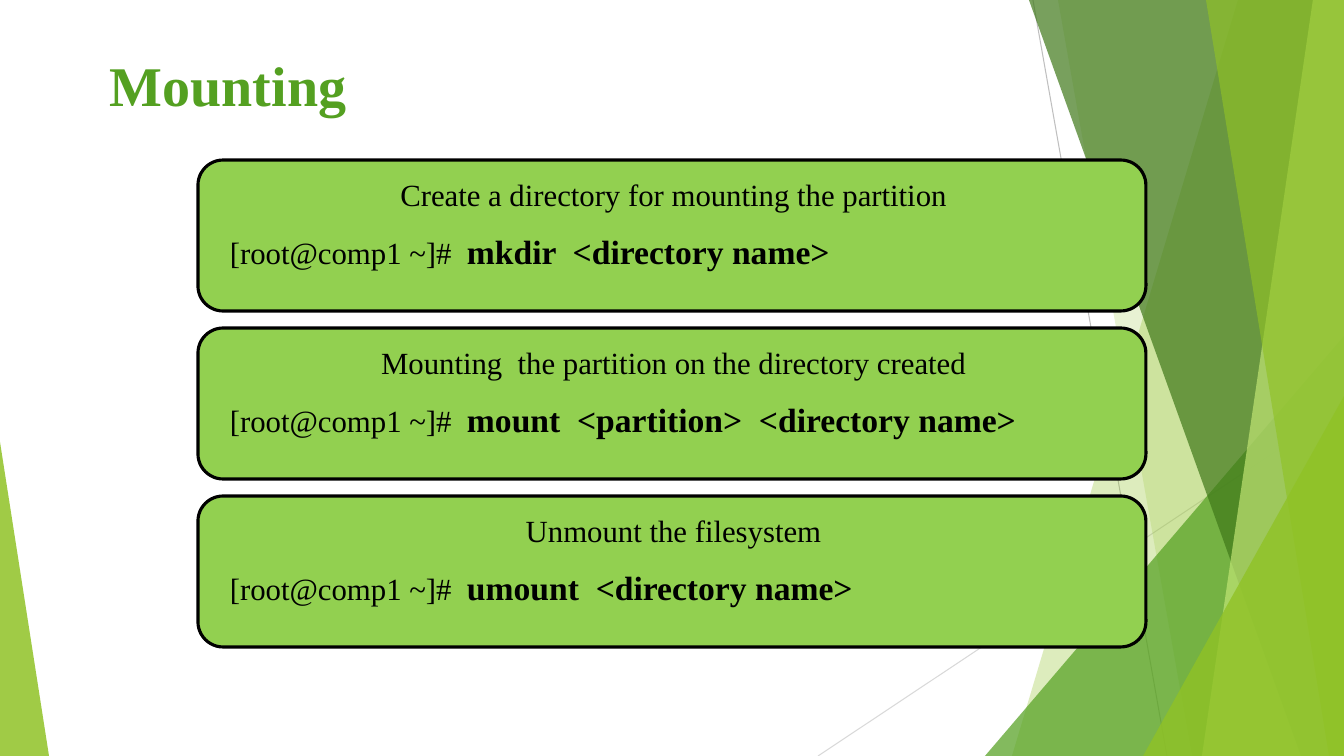
from lxml import etree
from pptx import Presentation
from pptx.dml.color import RGBColor
from pptx.enum.shapes import MSO_CONNECTOR, MSO_SHAPE
from pptx.enum.text import MSO_ANCHOR, PP_ALIGN
from pptx.oxml.ns import qn
from pptx.util import Pt

# Content
TITLE = "Mounting"
PROMPT = "[root@comp1 ~]#  "
STEPS = [
    ("Create a directory for mounting the partition", "mkdir  <directory name>"),
    ("Mounting  the partition on the directory created", "mount  <partition>  <directory name>"),
    ("Unmount the filesystem", "umount  <directory name>"),
]

# Style
COLORS = {
    "leaf": "90C226", "green": "54A021", "forest": "3F7819", "lime": "C0E474",
    "card": "92D050", "black": "000000", "gray": "BFBFBF", "light gray": "D9D9D9",
}
FONT = "Times New Roman"
FORMATS = {
    "title": {"name": FONT, "size": Pt(40), "bold": True},
    "body": {"name": FONT, "size": Pt(22), "bold": False},
    "command": {"name": FONT, "size": Pt(24), "bold": True},
}

# Geometry in px
WIDTH, HEIGHT = 1344, 756
SCALE = 914400 / 100.8
CARD_LEFT, CARD_TOP, CARD_WIDTH, CARD_HEIGHT, CARD_STEP = 198, 160, 948, 151, 168
THIN_LINES = [((1033, 0), (1167, HEIGHT), "gray"), ((WIDTH, 406), (818, HEIGHT), "light gray")]
# Bands reach the right edge: top x, bottom x, color, opacity %
# Triangles: left, top, width, apex position, color, opacity %
DECORATIONS = [
    ("band", (1238, 1012), "leaf", 30),
    ("band", (1058, 1192), "leaf", 20),
    ("triangle", (985, 336, 359, 1), "green", 72),
    ("band", (1029, 1301), "forest", 70),
    ("band", (1313, 1202), "lime", 70),
    ("band", (1206, 1329), "leaf", 65),
    ("triangle", (1143, 396, 201, 1), "leaf", 80),
    ("triangle", (0, 442, 49, 0), "leaf", 85),
]


def emu(*lengths):
    return [round(length * SCALE) for length in lengths]


def rgb(name):
    return RGBColor.from_string(COLORS[name])


def paint(shape, color, opacity=100):
    shape.shadow.inherit = False
    shape.fill.solid()
    shape.fill.fore_color.rgb = rgb(color)
    shape.line.fill.background()
    if opacity < 100:
        color_element = shape.fill._xPr.find(qn("a:solidFill"))[0]
        etree.SubElement(color_element, qn("a:alpha"), val=str(opacity * 1000))


def add_box(slide, kind, bounds, color):
    shape = slide.shapes.add_shape(kind, *emu(*bounds))
    paint(shape, color)
    return shape


def write(shape, runs, color, alignment=PP_ALIGN.LEFT, spacing=None):
    frame = shape.text_frame
    frame.word_wrap = True
    frame.vertical_anchor = MSO_ANCHOR.TOP
    paragraph = frame.paragraphs[0]
    paragraph.alignment = alignment
    if spacing:
        paragraph.line_spacing = spacing
    for text, format_name in runs:
        run = paragraph.add_run()
        run.text = text
        run.font.color.rgb = rgb(color)
        for attribute, value in FORMATS[format_name].items():
            setattr(run.font, attribute, value)


def add_decorations(slide):
    for start, end, color in THIN_LINES:
        line = slide.shapes.add_connector(MSO_CONNECTOR.STRAIGHT, *emu(*start, *end))
        line.line.color.rgb = rgb(color)
        line.line.width = Pt(0.75)
        etree.SubElement(line._element.spPr, qn("a:effectLst"))
    for kind, geometry, color, opacity in DECORATIONS:
        if kind == "band":
            top_x, bottom_x = geometry
            builder = slide.shapes.build_freeform(top_x, 0, scale=SCALE)
            builder.add_line_segments([(WIDTH, 0), (WIDTH, HEIGHT), (bottom_x, HEIGHT)])
            shape = builder.convert_to_shape()
        else:
            left, top, width, apex = geometry
            bounds = emu(left, top, width, HEIGHT - top)
            shape = slide.shapes.add_shape(MSO_SHAPE.ISOSCELES_TRIANGLE, *bounds)
            shape.adjustments[0] = apex
        paint(shape, color, opacity)


def add_card(slide, top, heading, command):
    card = add_box(slide, MSO_SHAPE.ROUNDED_RECTANGLE,
                   (CARD_LEFT, top, CARD_WIDTH, CARD_HEIGHT), "card")
    card.line.color.rgb = rgb("black")
    card.line.width = Pt(2.25)
    label = add_box(slide, MSO_SHAPE.RECTANGLE, (CARD_LEFT + 21, top + 11, 909, 47), "card")
    write(label, [(heading, "body")], "black", PP_ALIGN.CENTER)
    code = add_box(slide, MSO_SHAPE.RECTANGLE, (CARD_LEFT + 22, top + 64, 909, 52), "card")
    write(code, [(PROMPT, "body"), (command, "command")], "black", spacing=Pt(30))


def main():
    presentation = Presentation()
    presentation.slide_width, presentation.slide_height = emu(WIDTH, HEIGHT)
    slide = presentation.slides.add_slide(presentation.slide_layouts[6])

    # Background shapes
    add_decorations(slide)

    # Title
    title = slide.shapes.add_textbox(*emu(100, 46, 948, 145))
    write(title, [(TITLE, "title")], "green")

    # Command cards
    for index, (heading, command) in enumerate(STEPS):
        add_card(slide, CARD_TOP + index * CARD_STEP, heading, command)

    presentation.save("out.pptx")


if __name__ == "__main__":
    main()
